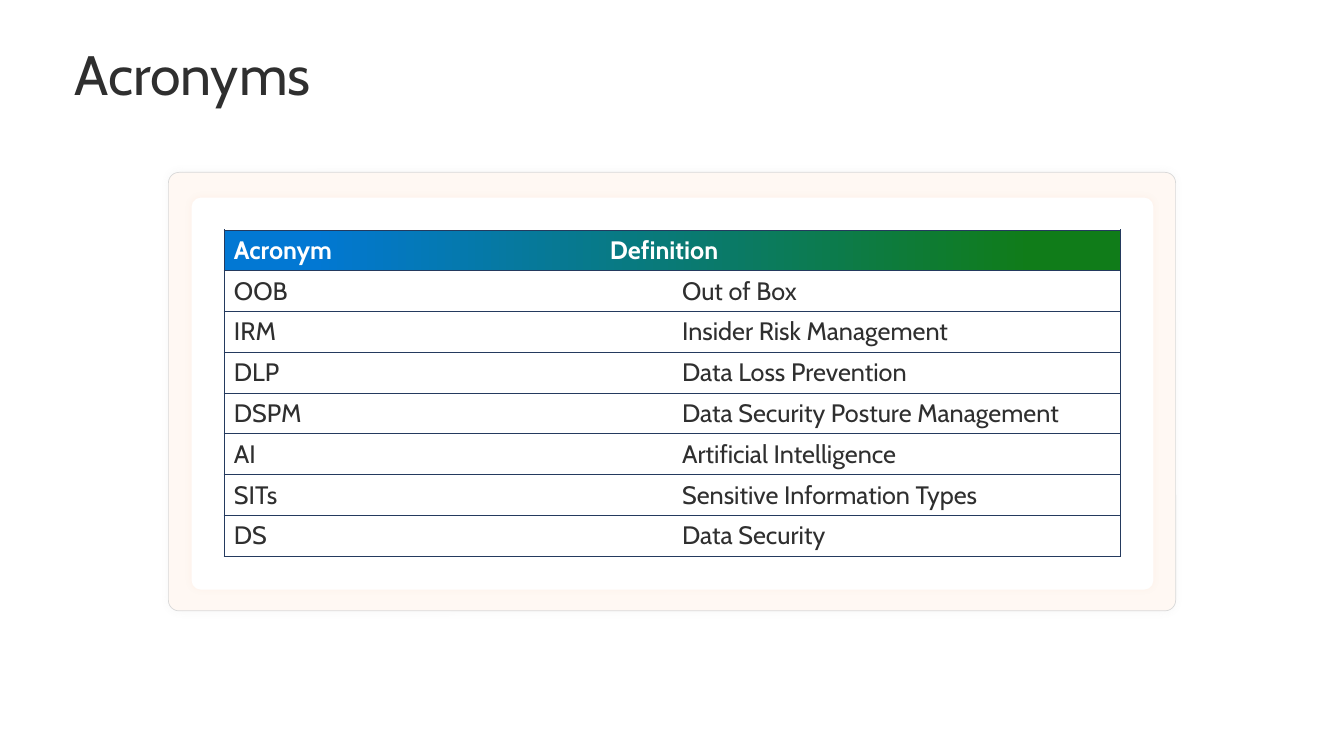
from dataclasses import dataclass

from lxml import etree
from pptx import Presentation
from pptx.dml.color import RGBColor
from pptx.enum.shapes import MSO_SHAPE
from pptx.enum.text import MSO_ANCHOR
from pptx.oxml.ns import qn
from pptx.slide import Slide
from pptx.table import Table, _Cell
from pptx.text.text import _Paragraph
from pptx.util import Inches, Pt

ROUNDED_RECTANGLE = MSO_SHAPE.ROUNDED_RECTANGLE
MIDDLE = MSO_ANCHOR.MIDDLE

FONT = "Cabin"
DARK = "2F2F2F"
WHITE = "FFFFFF"
BORDER = "243A5E"
HEADER_STOPS = ((0.1, "0278D3"), (0.9, "107C19"))
COLUMN_WIDTH = 4.445
ROW_HEIGHT = 0.405
DEFINITION_TAB = 3.73

ACRONYMS = (
    ("OOB", "Out of Box"),
    ("IRM", "Insider Risk Management"),
    ("DLP", "Data Loss Prevention"),
    ("DSPM", "Data Security Posture Management"),
    ("AI", "Artificial Intelligence"),
    ("SITs", "Sensitive Information Types"),
    ("DS", "Data Security"),
)


@dataclass(frozen=True)
class Panel:
    left: float
    top: float
    width: float
    height: float
    fill: str
    shadow: str
    line: str | None = None


PANELS = (
    Panel(1.67, 1.71, 9.99, 4.35, "FFF8F3", "808080", "D9D9D9"),
    Panel(1.9, 1.96, 9.54, 3.89, WHITE, "FE7F50"),
)


def color(value: str) -> RGBColor:
    return RGBColor.from_string(value)


def add_color(parent: etree._Element, value: str) -> etree._Element:
    return etree.SubElement(parent, qn("a:srgbClr"), val=value)


def write(paragraph: _Paragraph, text: str, size: float, ink: str, bold: bool = False) -> None:
    paragraph.text = text
    font = paragraph.font
    font.name, font.size, font.bold = FONT, Pt(size), bold
    font.color.rgb = color(ink)


def add_title(slide: Slide) -> None:
    box = slide.shapes.add_textbox(Inches(0.64), Inches(0.5), Inches(12.05), Inches(0.54))
    frame = box.text_frame
    frame.word_wrap = True
    frame.vertical_anchor = MIDDLE
    paragraph = frame.paragraphs[0]
    paragraph.line_spacing = 0.9
    write(paragraph, "Acronyms", 39.6, DARK)


def add_panel(slide: Slide, panel: Panel) -> None:
    shape = slide.shapes.add_shape(
        ROUNDED_RECTANGLE,
        Inches(panel.left), Inches(panel.top), Inches(panel.width), Inches(panel.height),
    )
    shape.adjustments[0] = 0.024
    shape.fill.solid()
    shape.fill.fore_color.rgb = color(panel.fill)
    if panel.line:
        shape.line.color.rgb = color(panel.line)
        shape.line.width = Pt(0.5)
    else:
        shape.line.fill.background()
    shape.shadow.inherit = False
    effects = shape._element.spPr.find(qn("a:effectLst"))
    shadow = etree.SubElement(effects, qn("a:outerShdw"), blurRad=str(Pt(5)), dist="0", dir="0")
    etree.SubElement(add_color(shadow, panel.shadow), qn("a:alpha"), val="5000")


def set_borders(cell: _Cell, visible: str) -> None:
    """Draw the sides named in visible (letters of LRTB) and clear the others."""
    properties = cell._tc.get_or_add_tcPr()
    for index, side in enumerate("LRTB"):
        line = etree.Element(qn(f"a:ln{side}"), w=str(Pt(0.5)))
        if side in visible:
            add_color(etree.SubElement(line, qn("a:solidFill")), BORDER)
        else:
            etree.SubElement(line, qn("a:noFill"))
        properties.insert(index, line)


def fill_header(table: Table) -> None:
    header, spanned = table.cell(0, 0), table.cell(0, 1)
    header.merge(spanned)
    paragraph = header.text_frame.paragraphs[0]
    write(paragraph, "Acronym\tDefinition", 18, WHITE, bold=True)
    tabs = etree.Element(qn("a:tabLst"))
    etree.SubElement(tabs, qn("a:tab"), pos=str(Inches(DEFINITION_TAB)), algn="l")
    paragraph._p.get_or_add_pPr().insert(0, tabs)
    header.fill.gradient()
    header.fill.gradient_angle = 0
    for stop, (position, value) in zip(header.fill.gradient_stops, HEADER_STOPS):
        stop.position = position
        stop.color.rgb = color(value)
    spanned.fill.background()
    set_borders(header, "LRTB")
    set_borders(spanned, "RTB")


def add_acronym_table(slide: Slide) -> None:
    row_count = len(ACRONYMS) + 1
    table = slide.shapes.add_table(
        row_count, 2, Inches(2.22), Inches(2.28),
        Inches(2 * COLUMN_WIDTH), Inches(row_count * ROW_HEIGHT),
    ).table
    for column in table.columns:
        column.width = Inches(COLUMN_WIDTH)
    for row in table.rows:
        row.height = Inches(ROW_HEIGHT)
    fill_header(table)
    for row_index, entry in enumerate(ACRONYMS, start=1):
        for column_index, (text, sides) in enumerate(zip(entry, ("LTB", "RTB"))):
            cell = table.cell(row_index, column_index)
            write(cell.text_frame.paragraphs[0], text, 18, DARK)
            cell.fill.background()
            set_borders(cell, sides)


def main() -> None:
    presentation = Presentation()
    presentation.slide_width = Inches(13.33)
    presentation.slide_height = Inches(7.5)
    slide = presentation.slides.add_slide(presentation.slide_layouts[6])
    add_title(slide)
    for panel in PANELS:
        add_panel(slide, panel)
    add_acronym_table(slide)
    presentation.save("out.pptx")


if __name__ == "__main__":
    main()
